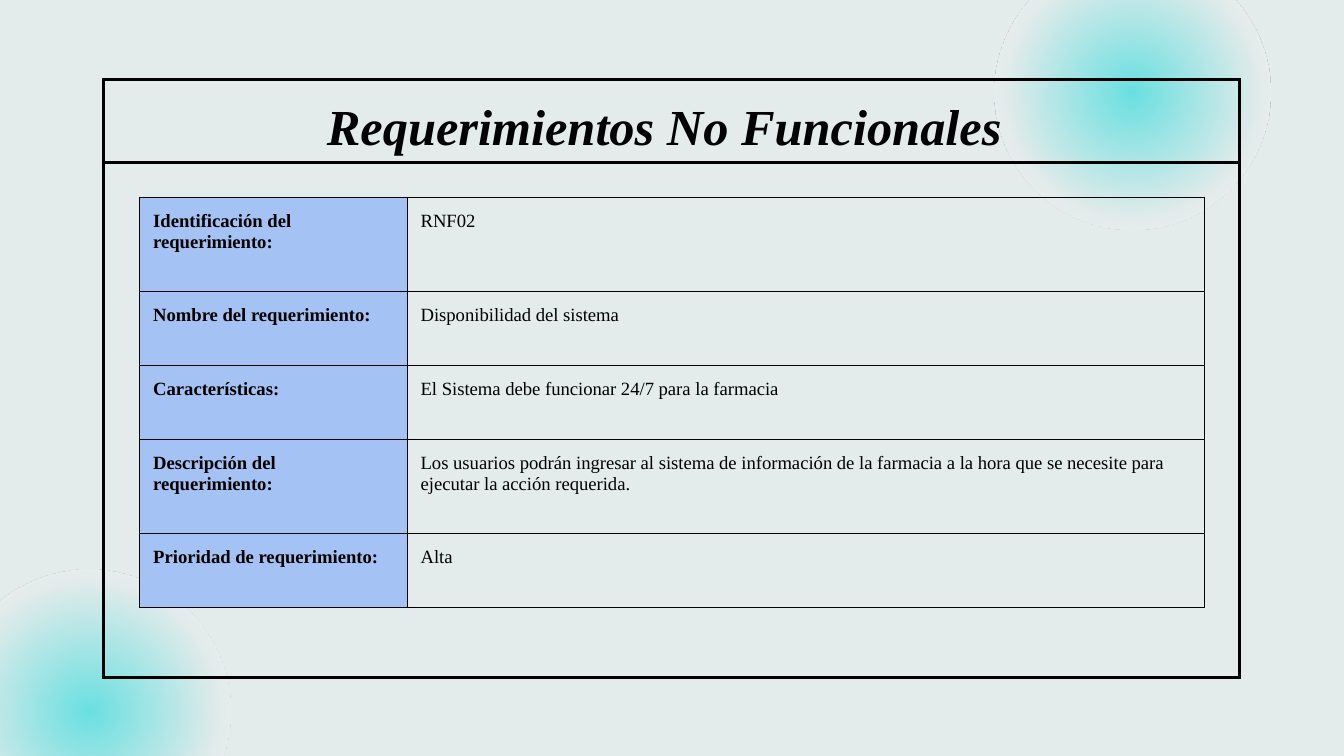
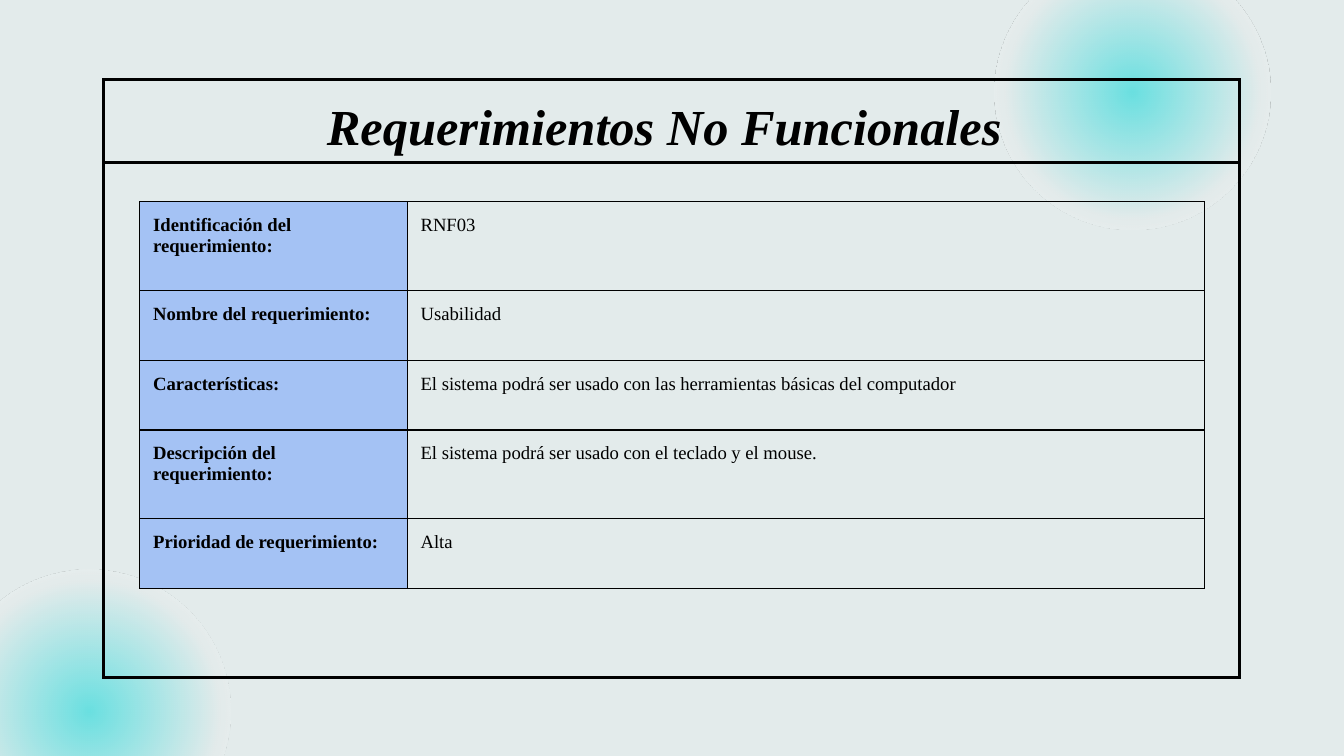
from lxml import etree
from pptx import Presentation
from pptx import util as u
from pptx.dml import color
from pptx.enum import shapes, text
from pptx.oxml import ns

BACKGROUND = color.RGBColor(0xE3, 0xEB, 0xEB)
TURQUOISE = color.RGBColor(0x6A, 0xE0, 0xE1)
WHITE = color.RGBColor(0xFF, 0xFF, 0xFF)
BLACK = color.RGBColor(0x00, 0x00, 0x00)
LABEL_BLUE = color.RGBColor(0xA4, 0xC2, 0xF4)
FONT = "Times New Roman"

SLIDE_WIDTH = 10
SLIDE_HEIGHT = SLIDE_WIDTH * 9 / 16
HALOS = [(-0.39, 4.24, 2.1), (7.4, -0.34, 2.05)]
FRAME = (0.77, 0.59, 8.45, 4.45)
HEADER_HEIGHT = 0.62
COLUMN_WIDTHS = [1.99, 5.93]
TITLE = "Requerimientos No Funcionales "
LABELS = [
    "Identificación del requerimiento:",
    "Nombre del requerimiento:",
    "Características:",
    "Descripción del requerimiento:",
    "Prioridad de requerimiento:",
]
TWO_LINE_ROWS = (0, 3)
REQUIREMENTS = [
    {
        "top": 1.47, "short": 0.55, "tall": 0.7,
        "values": [
            "RNF02",
            "Disponibilidad del sistema",
            "El Sistema debe funcionar 24/7 para la farmacia",
            "Los usuarios podrán ingresar al sistema de información de la farmacia "
            "a la hora que se necesite para ejecutar la acción requerida.",
            "Alta",
        ],
    },
    {
        "top": 1.5, "short": 0.52, "tall": 0.66,
        "values": [
            "RNF03",
            "Usabilidad",
            "El sistema podrá ser usado con las herramientas básicas del computador",
            "El sistema podrá ser usado con el teclado y el mouse.",
            "Alta",
        ],
    },
]


def inches(*lengths):
    """Convert several lengths to Inches."""
    return [u.Inches(length) for length in lengths]


def add_xml(parent, tag, **attributes):
    """Append a DrawingML element to its parent."""
    return etree.SubElement(parent, ns.qn(tag), attributes)


def write_text(frame, words, size=10, bold=False, italic=False, align=text.PP_ALIGN.LEFT):
    """Write one formatted paragraph into a text frame."""
    paragraph = frame.paragraphs[0]
    paragraph.alignment = align
    run = paragraph.add_run()
    run.text = words
    run.font.name, run.font.size = FONT, u.Pt(size)
    run.font.bold, run.font.italic = bold, italic
    run.font.color.rgb = BLACK


def set_margins(holder):
    """Give a cell or text frame equal margins."""
    for side in ("left", "right", "top", "bottom"):
        setattr(holder, f"margin_{side}", u.Inches(0.1))


def add_halo(slide, left, top, diameter):
    """Draw a disc that fades from turquoise into the background."""
    halo = slide.shapes.add_shape(shapes.MSO_SHAPE.OVAL, *inches(left, top, diameter, diameter))
    halo.rotation = 180
    halo.shadow.inherit = False
    halo.line.fill.background()
    halo.fill.gradient()
    gradient = halo._element.spPr.find(ns.qn("a:gradFill"))
    for child in list(gradient):
        gradient.remove(child)
    stops = add_xml(gradient, "a:gsLst")
    for position, rgb in ((0, TURQUOISE), (65, BACKGROUND), (100, WHITE)):
        stop = add_xml(stops, "a:gs", pos=str(position * 1000))
        shade = add_xml(stop, "a:srgbClr", val=str(rgb))
        if rgb == WHITE:
            add_xml(shade, "a:alpha", val="0")
    circle = add_xml(gradient, "a:path", path="circle")
    add_xml(circle, "a:fillToRect", l="50000", t="50000", r="50000", b="50000")


def add_frame(slide, left, top, width, height):
    """Draw the outlined frame and the rule below its header."""
    border = slide.shapes.add_shape(shapes.MSO_SHAPE.RECTANGLE, *inches(left, top, width, height))
    border.shadow.inherit = False
    border.fill.background()
    rule_y = top + HEADER_HEIGHT
    rule = slide.shapes.add_connector(
        shapes.MSO_CONNECTOR.STRAIGHT,
        *inches(left + 0.01, rule_y, left + width + 0.01, rule_y))
    add_xml(rule._element.spPr, "a:effectLst")
    for outlined in (border, rule):
        outlined.line.color.rgb = BLACK
        outlined.line.width = u.Pt(1.5)
    add_xml(border.line._get_or_add_ln(), "a:miter", lim="800000")


def place_title(slide, left, top, width, height):
    """Place the title placeholder in front of the frame header."""
    title = slide.shapes.title
    title.left, title.top, title.width, title.height = inches(left, top, width, height)
    slide.shapes._spTree.append(title._element)
    frame = title.text_frame
    frame.auto_size = text.MSO_AUTO_SIZE.NONE
    frame.word_wrap = True
    frame.vertical_anchor = text.MSO_ANCHOR.MIDDLE
    set_margins(frame)
    write_text(frame, TITLE, size=27, bold=True, italic=True, align=text.PP_ALIGN.CENTER)


def set_borders(cell):
    """Draw thin black borders on all sides of a cell."""
    properties = cell._tc.get_or_add_tcPr()
    for index, side in enumerate("LRTB"):
        border = add_xml(properties, f"a:ln{side}", w=str(u.Pt(0.75)))
        add_xml(add_xml(border, "a:solidFill"), "a:srgbClr", val=str(BLACK))
        properties.insert(index, border)


def add_requirement_table(slide, left, top, short, tall, values):
    """Build the table of labels and values for one requirement."""
    heights = [tall if index in TWO_LINE_ROWS else short for index in range(len(LABELS))]
    table = slide.shapes.add_table(
        len(LABELS), 2, *inches(left, top, sum(COLUMN_WIDTHS), sum(heights))).table
    table.first_row = table.horz_banding = False
    for column, width in zip(table.columns, COLUMN_WIDTHS):
        column.width = u.Inches(width)
    for row, height, *entries in zip(table.rows, heights, LABELS, values):
        row.height = u.Inches(height)
        for cell, words, is_label in zip(row.cells, entries, (True, False)):
            set_margins(cell)
            write_text(cell.text_frame, words, bold=is_label)
            if is_label:
                cell.fill.solid()
                cell.fill.fore_color.rgb = LABEL_BLUE
            else:
                cell.fill.background()
            set_borders(cell)


def add_requirement_slide(deck, requirement):
    """Add one slide with its halos, frame, title and table."""
    slide = deck.slides.add_slide(deck.slide_layouts[5])
    for halo in HALOS:
        add_halo(slide, *halo)
    add_frame(slide, *FRAME)
    left, top, width, _ = FRAME
    place_title(slide, left - 0.02, top, width + 0.03, 0.69)
    add_requirement_table(slide, left + 0.27, **requirement)


def main():
    """Build and save the presentation."""
    deck = Presentation()
    deck.slide_width, deck.slide_height = inches(SLIDE_WIDTH, SLIDE_HEIGHT)
    backdrop = deck.slide_master.background.fill
    backdrop.solid()
    backdrop.fore_color.rgb = BACKGROUND
    for requirement in REQUIREMENTS:
        add_requirement_slide(deck, requirement)
    deck.save("out.pptx")


if __name__ == "__main__":
    main()
